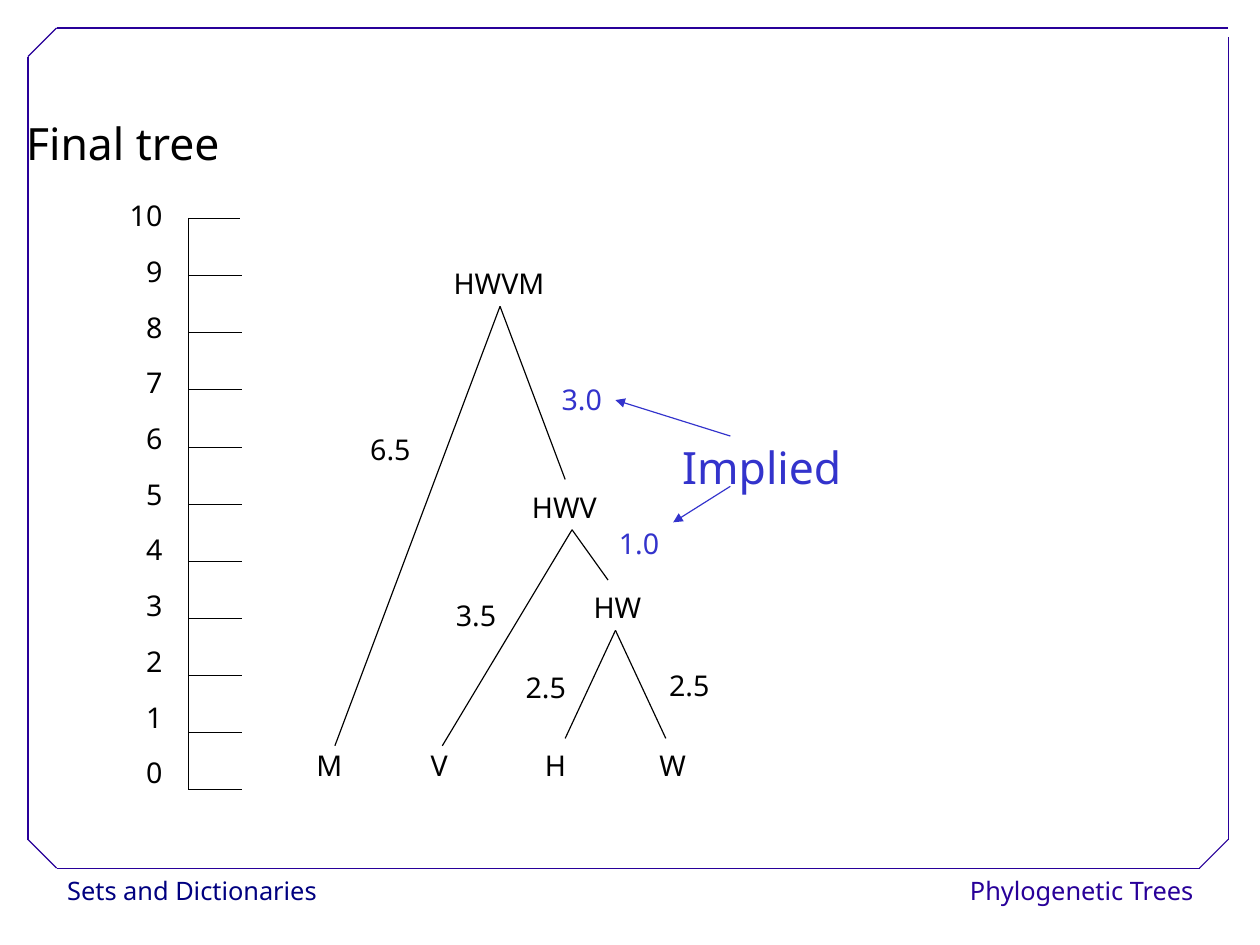
from lxml.etree import SubElement as Sub
from pptx import Presentation
from pptx.dml.color import RGBColor
from pptx.enum.shapes import MSO_CONNECTOR as Link
from pptx.enum.text import MSO_AUTO_SIZE as Fit, PP_ALIGN as Align
from pptx.oxml.ns import qn
from pptx.util import Cm, Inches, Pt

COLOURS = {"ink": "000000", "implied": "3333CC", "frame": "280099",
           "course": "000080"}
FONT = "Noto Sans"
GRID = 0.25
LABEL_HEIGHT = 1.52
LEFT, RIGHT, TOP, BOTTOM, CORNER = 0.98, 42.98, 0.98, 30.38, 1

FRAME = [
    ((LEFT + CORNER, BOTTOM), (RIGHT - CORNER, BOTTOM)),
    ((LEFT, BOTTOM - CORNER), (LEFT, TOP + CORNER)),
    ((LEFT + CORNER, TOP), (RIGHT, TOP)),
    ((RIGHT, BOTTOM - CORNER), (RIGHT, 1.28)),
    ((LEFT, TOP + CORNER), (LEFT + CORNER, TOP)),
    ((RIGHT - CORNER, BOTTOM), (RIGHT, BOTTOM - CORNER)),
    ((LEFT, BOTTOM - CORNER), (LEFT + CORNER, BOTTOM)),
]
CLADES = [("HW", 20.38, 20.54, 2.48), ("HWV", 18.22, 17.04, 3.08),
          ("HWVM", 15.48, 9.2, 3.96)]
BRANCHES = {
    (21.54, 22.06): [(19.78, 25.84), (23.3, 25.84)],
    (20.02, 18.54): [(21.28, 20.3), (15.48, 26.1)],
    (17.5, 10.72): [(19.78, 16.78), (11.72, 26.1)],
}
DISTANCES = [
    ("1.0", 21.26, 18.3, "implied"), ("3.0", 19.26, 13.26, "implied"),
    ("6.5", 12.56, 15.02, "ink"), ("2.5", 23.02, 23.3, "ink"),
    ("2.5", 18, 23.34, "ink"), ("3.5", 15.56, 20.82, "ink"),
]
IMPLIED_ARROWS = [((25.56, 15.26), (21.54, 14)),
                  ((25.56, 17.02), (23.56, 18.28))]


def units(count):
    """Convert grid columns or rows to a length."""
    return Inches(count * GRID)


def style(paragraph, colour, size, spacing, align=Align.LEFT):
    """Set the font and spacing of one paragraph."""
    paragraph.alignment = align
    paragraph.line_spacing = spacing
    paragraph.font.name = FONT
    paragraph.font.size = Pt(size)
    paragraph.font.color.rgb = RGBColor.from_string(COLOURS[colour])


def add_label(slide, words, column, row, width, height=LABEL_HEIGHT,
              colour="ink", size=18, spacing=0.93, align=Align.LEFT, stops=()):
    """Place a one-line text on the grid."""
    label = slide.shapes.add_textbox(*map(units, (column, row, width, height)))
    frame = label.text_frame
    frame.word_wrap = True
    frame.auto_size = Fit.SHAPE_TO_FIT_TEXT
    if align == Align.LEFT:
        frame.margin_right = 0
    else:
        frame.margin_left = 0
    line = frame.paragraphs[0]
    line.text = words
    if stops:
        line.line_spacing = spacing
        tabs = Sub(line._p.get_or_add_pPr(), qn("a:tabLst"))
        for stop in stops:
            Sub(tabs, qn("a:tab"), pos=str(units(stop)), algn="l")
    style(line, colour, size, spacing, align)


def add_line(slide, start, end, colour="ink", arrow=False):
    """Draw a thin straight line between two grid points."""
    line = slide.shapes.add_connector(Link.STRAIGHT,
                                      *map(units, (*start, *end)))
    line.line.width = Pt(0.75)
    line.line.color.rgb = RGBColor.from_string(COLOURS[colour])
    if arrow:
        Sub(line.line._get_or_add_ln(), qn("a:tailEnd"), type="triangle")
    Sub(line._element.spPr, qn("a:effectLst"))


def add_column(slide, column, row, width, pitch, count):
    """Add a plain one-column table and return its cells."""
    table = slide.shapes.add_table(
        count, 1, *map(units, (column, row, width, pitch * count))).table
    table.first_row = table.horz_banding = False
    for table_row in table.rows:
        table_row.height = units(pitch)
    return list(table.iter_cells())


def add_scale(slide):
    """Build the distance scale with its ticks and numbers."""
    for tick in add_column(slide, 6.6, 7.64, 1.84, 2, 10):
        for side in ("a:lnL", "a:lnT", "a:lnB"):
            border = Sub(tick._tc.get_or_add_tcPr(), qn(side), w=str(Pt(0.45)))
            fill = Sub(border, qn("a:solidFill"))
            Sub(fill, qn("a:srgbClr"), val=COLOURS["ink"])
        tick.fill.background()
    numbers = add_column(slide, 3.56, 6.72, 2.52, 1.95, 11)
    for value, number in zip(range(10, -1, -1), numbers):
        number.fill.background()
        number.text = str(value)
        style(number.text_frame.paragraphs[0], "ink", 18, 0.93, Align.RIGHT)


def main():
    """Build the slide and save it."""
    deck = Presentation()
    deck.slide_width, deck.slide_height = Cm(28), Cm(21)
    slide = deck.slides.add_slide(deck.slide_layouts[6])

    add_label(slide, "Sets and Dictionaries", 1.96, 30.4, 9.6, 1.6,
              "course", 16, 1.02)
    add_label(slide, "Phylogenetic Trees", 33.36, 30.4, 8.8, 1.6,
              "frame", 16, 1.02, Align.RIGHT)
    for start, end in FRAME:
        add_line(slide, start, end, "frame")

    add_label(slide, "Final tree", 0.52, 2.92, 11.6, 3.2, size=28, spacing=1.5)
    add_label(slide, "M\tV\tH\tW", 10.68, 26.1, 13.72, stops=(4, 8, 12))
    add_scale(slide)
    for clade, column, row, width in CLADES:
        add_label(slide, clade, column, row, width)
    for parent, children in BRANCHES.items():
        for child in children:
            add_line(slide, parent, child)
    for distance, column, row, colour in DISTANCES:
        add_label(slide, distance, column, row, 2.2, colour=colour)
    add_label(slide, "Implied", 23.48, 14.26, 10.36, 3.2, "implied", 28, 1.5)
    for start, end in IMPLIED_ARROWS:
        add_line(slide, start, end, "implied", arrow=True)

    deck.save("out.pptx")


if __name__ == "__main__":
    main()
